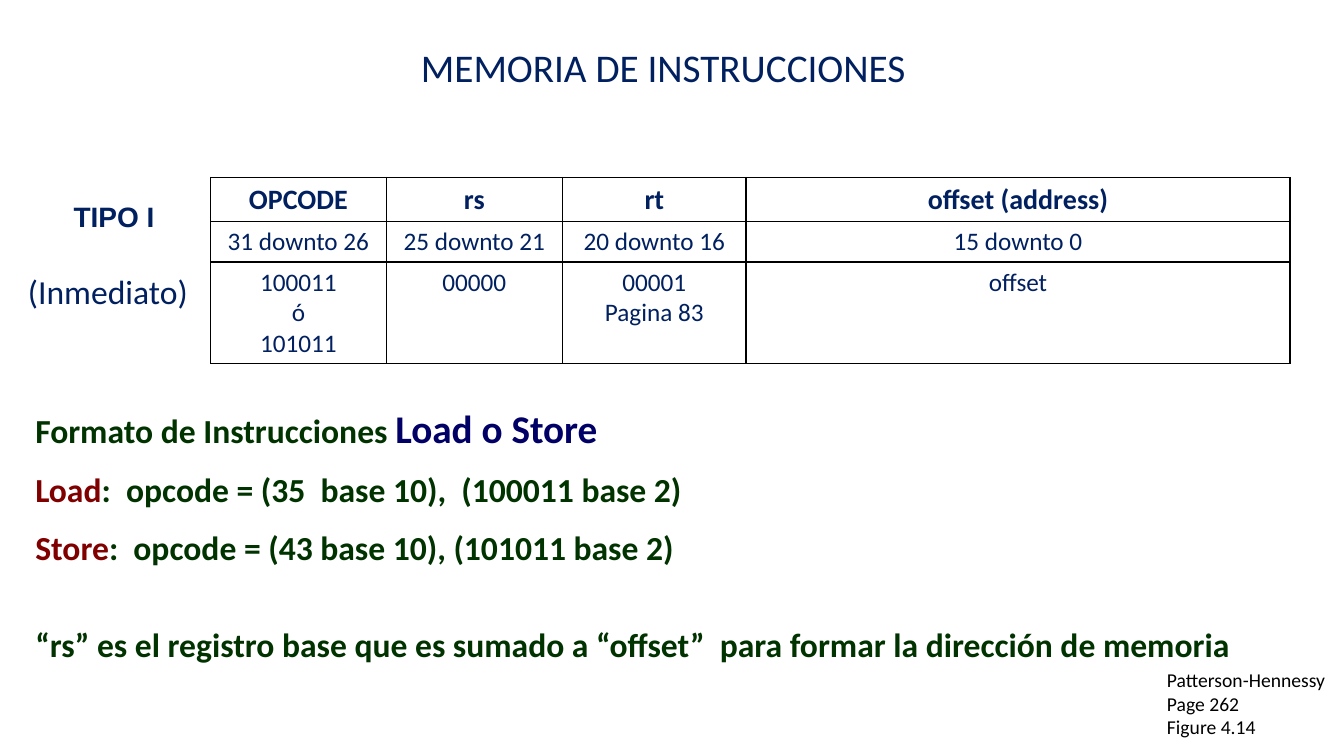
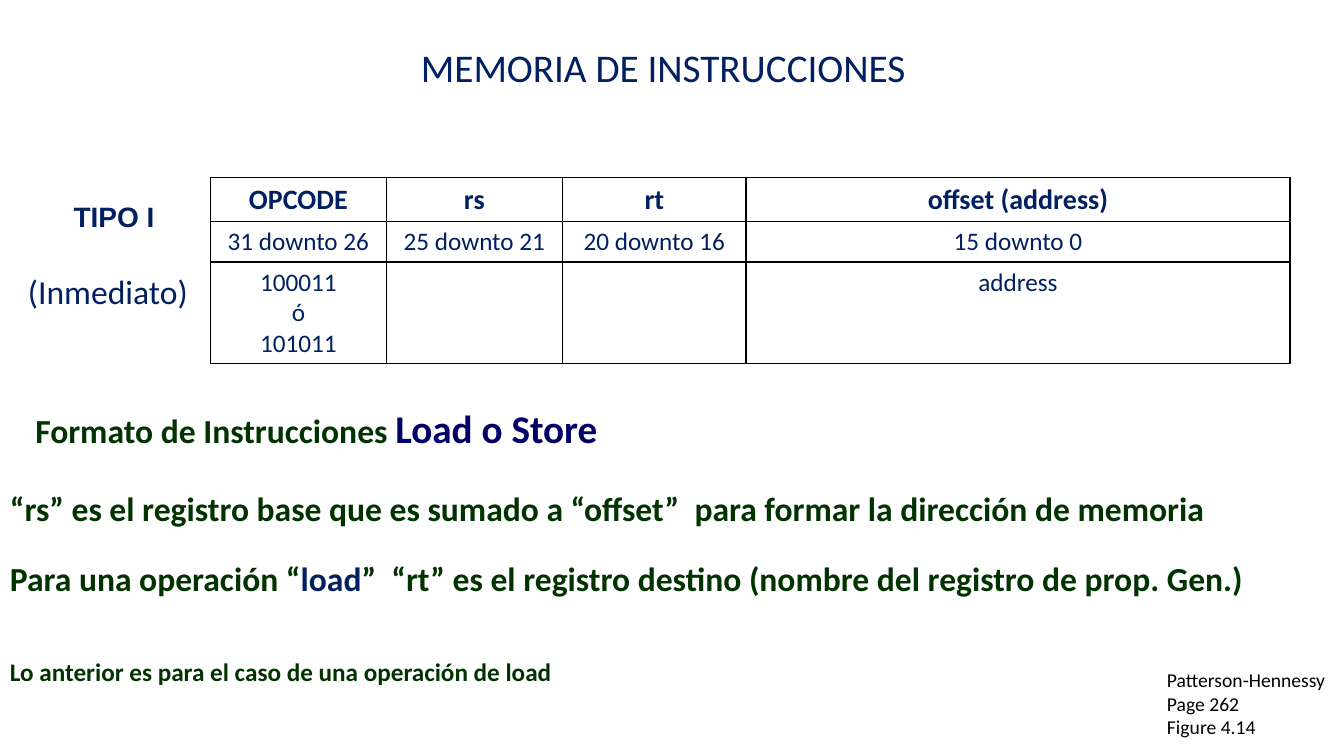
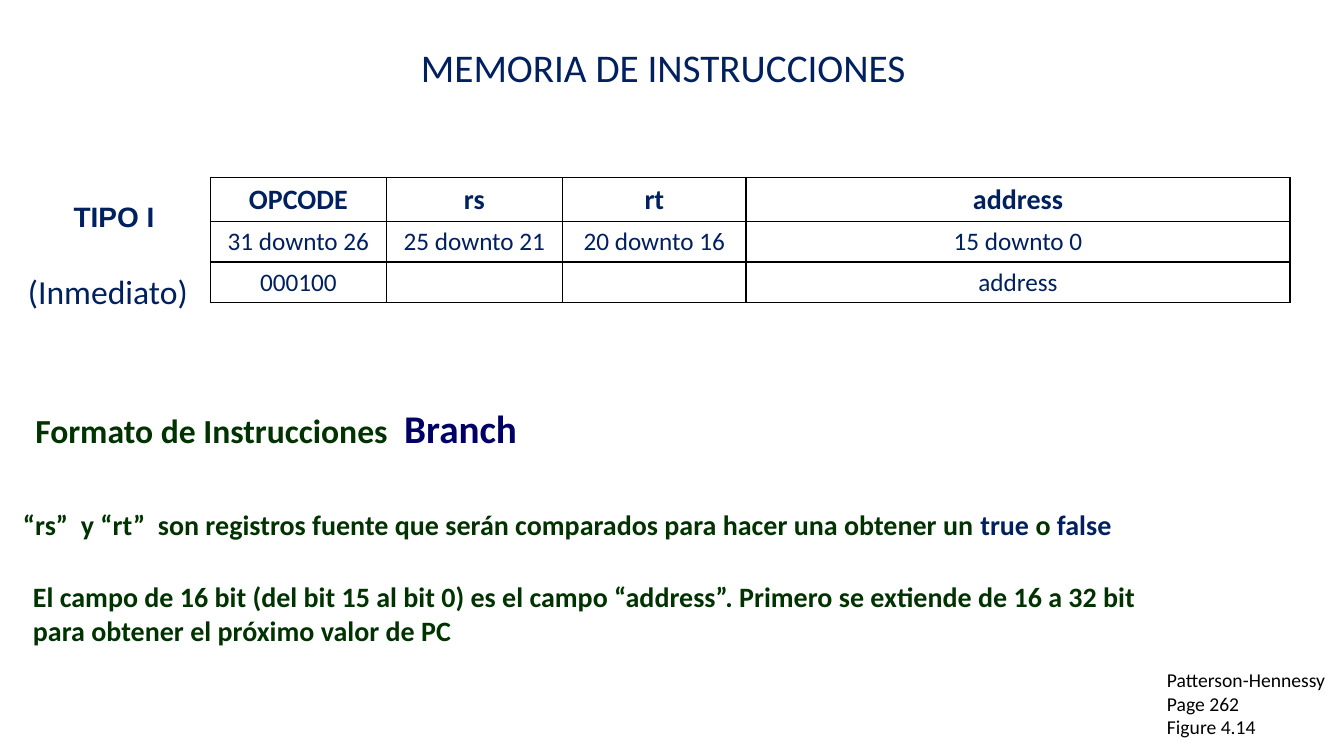
from lxml import etree
from pptx import Presentation
from pptx.dml.color import RGBColor
from pptx.enum.text import PP_ALIGN
from pptx.oxml.ns import qn
from pptx.util import Cm, Pt

LEFT, MID = PP_ALIGN.LEFT, PP_ALIGN.CENTER
NAVY, GREEN, BLUE, RED, BLACK = "002060", "003300", "000066", "800000", "000000"
PLAIN = {"name": "Calibri", "size": Pt(18), "bold": False}
HEAD = {"size": Pt(20), "bold": True}
BIG = {"size": Pt(24), "bold": True}
TERM = {"size": Pt(28), "bold": True}
COLS = (4.42, 4.45, 4.62, 13.71)
BITS = ("31 downto 26", "25 downto 21", "20 downto 16", "15 downto 0")
CODES = "100011\nó\n101011"
BASE = "“rs” es el registro base que es sumado a “offset”  para formar la dirección de memoria"


def paint(color, code):
    """Set a colour from a hex string."""
    color.rgb = RGBColor.from_string(code)


def add_run(para, text, code, look):
    """Add one run with its colour and font values."""
    run = para.add_run()
    run.text = text
    for key, value in {**PLAIN, **look}.items():
        setattr(run.font, key, value)
    paint(run.font.color, code)


def write(frame, lines, align=LEFT):
    """Fill a text frame; each line is a list of runs."""
    for i, line in enumerate(lines):
        para = frame.add_paragraph() if i else frame.paragraphs[0]
        para.alignment = align
        for run in line:
            add_run(para, *run)


def add_text(slide, box, *lines, align=LEFT, wrap=True):
    """Add a text box placed in centimetres."""
    frame = slide.shapes.add_textbox(*map(Cm, box)).text_frame
    frame.word_wrap = wrap
    write(frame, lines, align)


def rule_cell(cell):
    """Clear a cell's fill and draw its four borders."""
    cell.fill.background()
    props = cell._tc.get_or_add_tcPr()
    for i, side in enumerate(("a:lnL", "a:lnR", "a:lnT", "a:lnB")):
        line = etree.Element(qn(side), w=str(Pt(1)))
        fill = etree.SubElement(line, qn("a:solidFill"))
        etree.SubElement(fill, qn("a:srgbClr"), val=BLACK)
        props.insert(i, line)


def add_grid(slide, field, values):
    """Add the instruction format table."""
    rows = (("OPCODE", "rs", "rt", field), BITS, values)
    deep = 0.25 + 0.77 * max(len(text.split("\n")) for text in values)
    highs = (1.1, 1.03, deep)
    box = (5.31, 4.47, sum(COLS), sum(highs))
    grid = slide.shapes.add_table(3, 4, *map(Cm, box)).table
    grid.first_row = grid.horz_banding = False
    for col, wide in zip(grid.columns, COLS):
        col.width = Cm(wide)
    for r, (row, high) in enumerate(zip(rows, highs)):
        grid.rows[r].height = Cm(high)
        look = {} if r else HEAD
        for c, text in enumerate(row):
            cell = grid.cell(r, c)
            rule_cell(cell)
            lines = [[(part, NAVY, look)] for part in text.split("\n") if part]
            write(cell.text_frame, lines, MID)


def add_page(deck, term, field, values):
    """Add a slide with the shared title, labels, table and source."""
    slide = deck.slides.add_slide(deck.slide_layouts[6])
    add_text(slide, (10.36, 0.97, 12.85, 1.45),
             [("MEMORIA DE INSTRUCCIONES", NAVY, {"size": Pt(28)})], wrap=False)
    add_text(slide, (0.64, 10.06, 14.78, 1.45),
             [("Formato de Instrucciones ", GREEN, BIG), (term, BLUE, TERM)])
    add_text(slide, (1.02, 4.9, 3.71, 1.12),
             [("TIPO I", NAVY, {**HEAD, "name": "Arial"})], align=MID)
    add_grid(slide, field, values)
    add_text(slide, (0, 6.71, 5.44, 1.27),
             [("(Inmediato)", NAVY, {"size": Pt(24)})], align=MID)
    source = ("Patterson-Hennessy", "Page 262", "Figure 4.14")
    add_text(slide, (29.16, 16.71, 4.72, 2.06),
             *([(text, BLACK, {"size": Pt(14)})] for text in source))
    return slide


def add_codes(deck):
    """Build the load and store opcode slide."""
    slide = add_page(deck, "Load o Store", "offset (address)",
                     (CODES, "00000", "00001\nPagina 83", "offset"))
    add_text(slide, (0.64, 15.6, 31.88, 1.27), [(BASE, GREEN, BIG)])
    codes = (("Load", ":  opcode = (35  base 10),  (100011 base 2)"),
             ("Store", ":  opcode = (43 base 10), (101011 base 2)"))
    for i, (name, code) in enumerate(codes):
        add_text(slide, (0.64, 11.68 + 1.48 * i, 17.3, 1.27),
                 [(name, RED, BIG), (code, GREEN, BIG)])


def add_load(deck):
    """Build the load operation slide."""
    slide = add_page(deck, "Load o Store", "offset (address)",
                     (CODES, "", "", "address"))
    add_text(slide, (0, 12.17, 31.88, 1.27), [(BASE, GREEN, BIG)])
    add_text(slide, (0, 13.94, 31.88, 1.27),
             [("Para una operación “", GREEN, BIG), ("load", NAVY, BIG),
              ("”  “rt” es el registro destino (nombre del registro de prop. Gen.)",
               GREEN, BIG)])
    add_text(slide, (0, 16.41, 14.58, 1.02),
             [("Lo anterior es para el caso de una operación de load",
               GREEN, {"bold": True})])


def add_branch(deck):
    """Build the branch slide."""
    slide = add_page(deck, " Branch", "address", ("000100", "", "", "address"))
    add_text(slide, (0.33, 12.67, 29.31, 1.12),
             [("“rs”  y “rt”  son registros fuente que serán comparados "
               "para hacer una obtener un ", GREEN, HEAD),
              ("true", NAVY, HEAD), (" o ", GREEN, HEAD), ("false", NAVY, HEAD)])
    add_text(slide, (0.58, 14.48, 28.8, 1.96),
             [("El campo de 16 bit (del bit 15 al bit 0) es el campo “address”. "
               "Primero se extiende de 16 a 32 bit para obtener el próximo "
               "valor de PC", GREEN, HEAD)])


def main():
    """Build and save the deck."""
    deck = Presentation()
    deck.slide_width, deck.slide_height = Cm(33.87), Cm(19.05)
    for build in (add_codes, add_load, add_branch):
        build(deck)
    deck.save("out.pptx")


if __name__ == "__main__":
    main()
